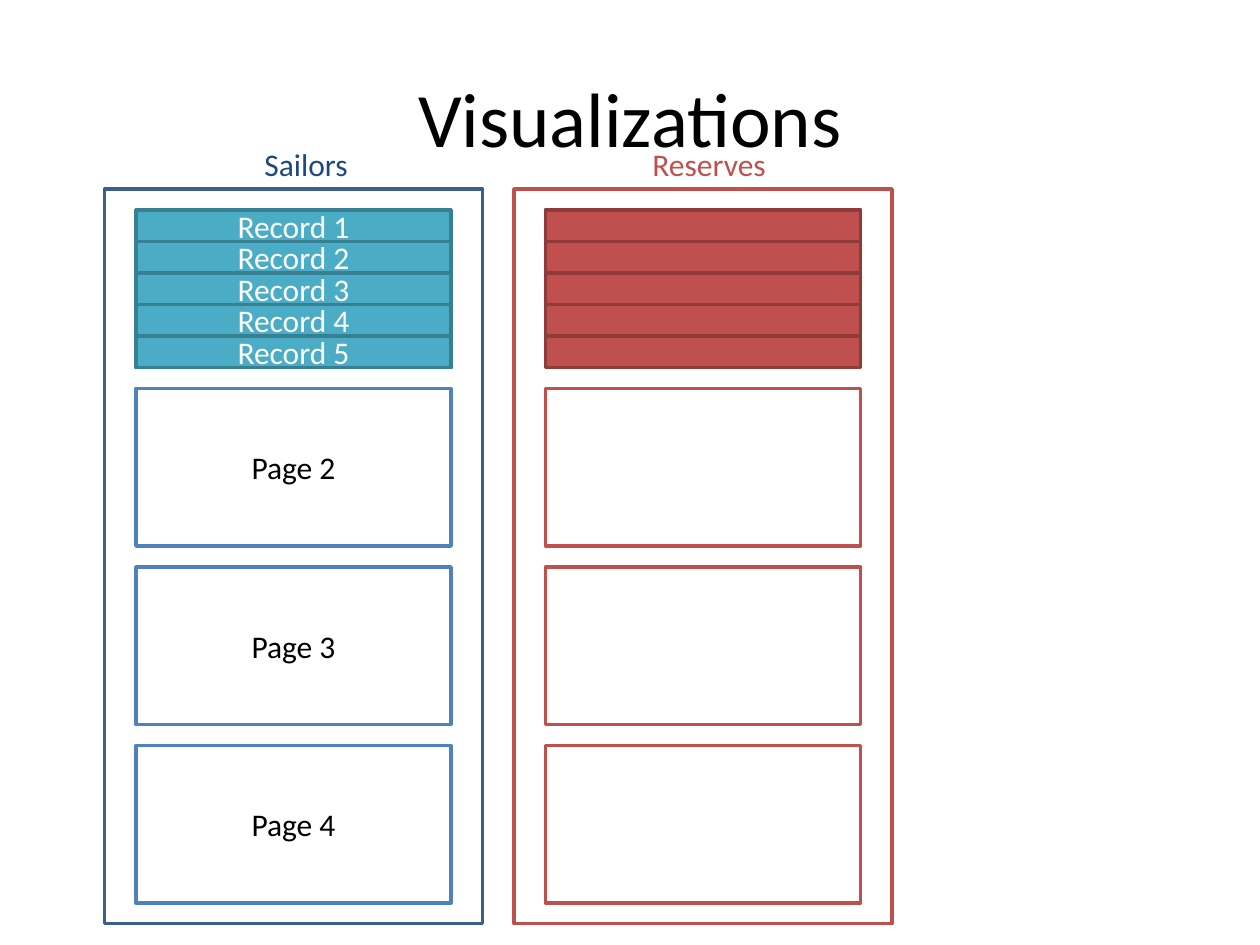
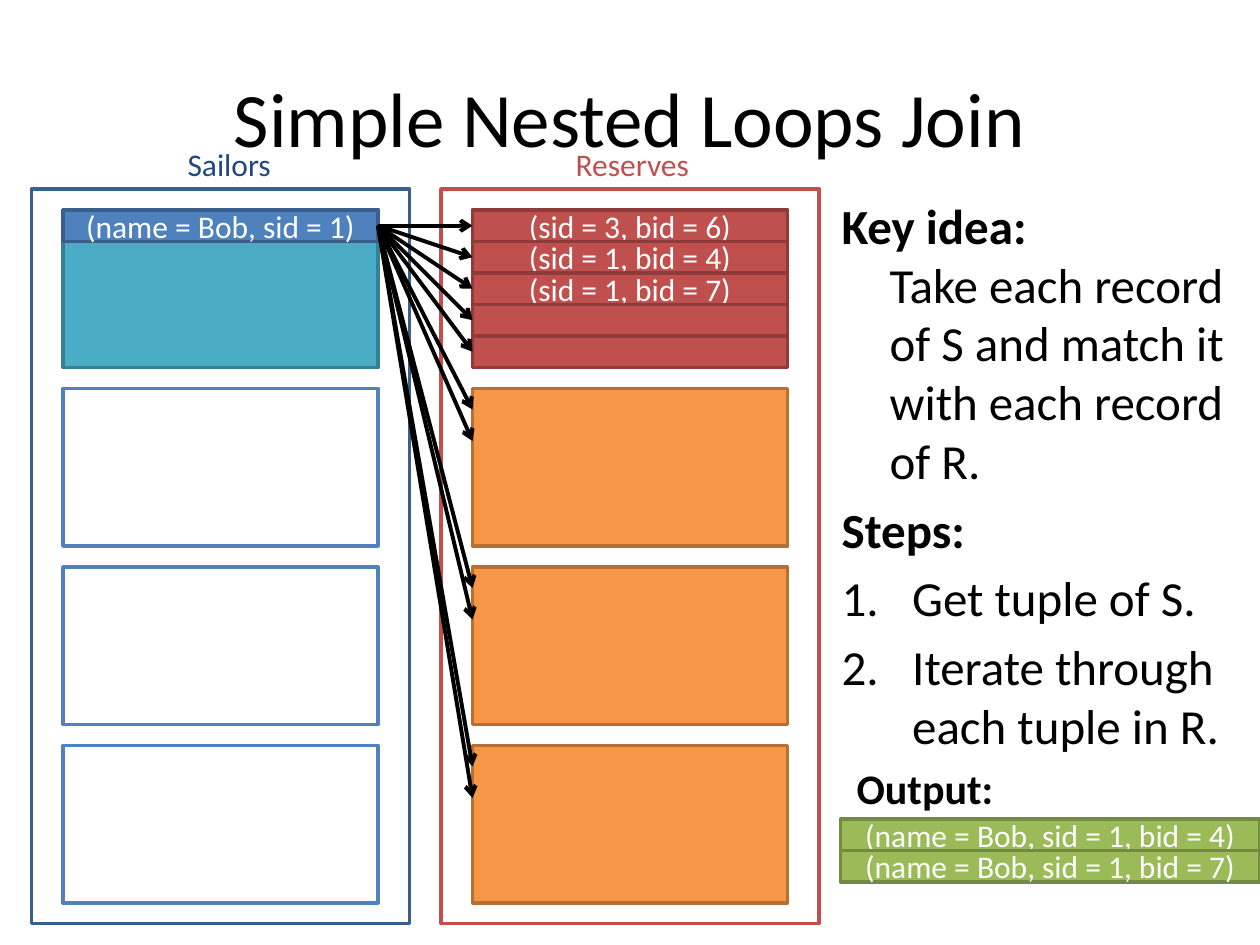
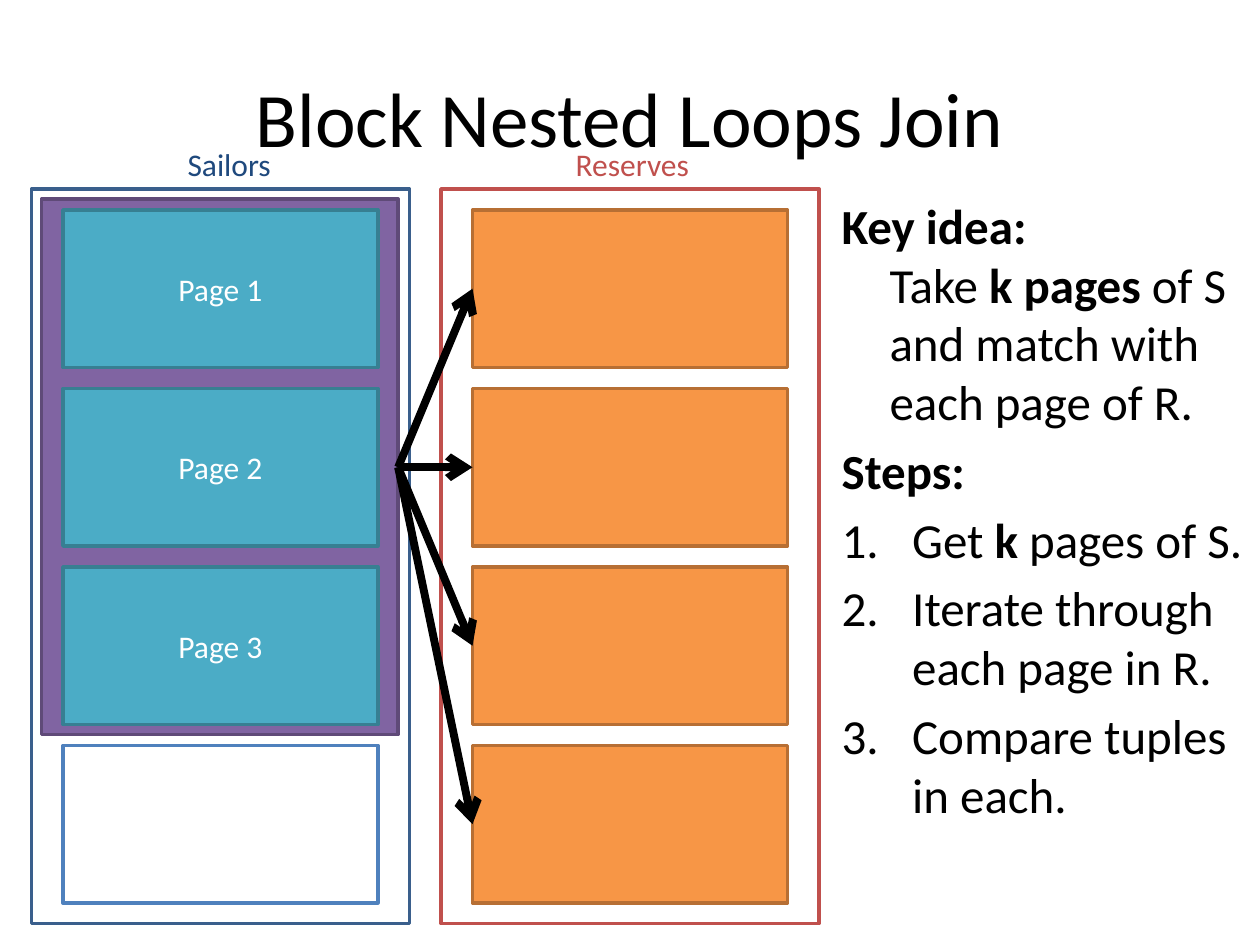
import pptx
import pptx.util
from lxml import etree
from pptx.dml.color import RGBColor
from pptx.enum.shapes import MSO_CONNECTOR, MSO_SHAPE
from pptx.enum.text import MSO_ANCHOR, MSO_AUTO_SIZE, PP_ALIGN
from pptx.oxml.ns import qn
from pptx.util import Inches

FONT = "Calibri"
COLORS = {
    "black": "000000", "white": "FFFFFF", "navy": "1F497D",
    "blue": "4F81BD", "blue_edge": "3A5F8C",
    "teal": "4BACC6", "teal_edge": "377F92",
    "red": "C0504D", "red_edge": "8E3B39",
    "orange": "F79646", "orange_edge": "B76F34",
    "green": "9BBB59", "green_edge": "738A42",
    "purple": "8064A2", "purple_edge": "5F4A78",
}

# Box styles: fill, line, text
STYLES = {
    "sailors_frame": (None, "blue_edge", "black"),
    "reserves_frame": ("white", "red", "black"),
    "sailors_page": ("white", "blue", "black"),
    "reserves_page": ("white", "red", "black"),
    "record_base": ("teal", "blue_edge", "white"),
}
for hue in ("blue", "teal", "red", "orange", "green", "purple"):
    STYLES[hue] = (hue, hue + "_edge", "white")

# Column geometry in inches
FRAME_TOP, FRAME_W, FRAME_H = 1.5, 3, 5.83
PAGE_W, PAGE_H, PAGE_INSET = 2.5, 1.25, 0.25
PAGE_TOPS = [(20 + 17 * i) / 12 for i in range(4)]
RECORD_H = 0.25
SAILORS_X, RESERVES_X = 0.25, 3.5
SAILORS_PAGE_X, RESERVES_PAGE_X = SAILORS_X + PAGE_INSET, RESERVES_X + PAGE_INSET


def rgb(name):
    return RGBColor.from_string(COLORS[name])


def add_run(p, text, size=18, color="black", bold=None):
    if text == "\n":
        br = p._p.add_br()
        etree.SubElement(br, qn("a:rPr"), sz=str(size * 100))
        return
    r = p.add_run()
    r.text = text
    r.font.name = FONT
    r.font.size = pptx.util.Pt(size)
    r.font.color.rgb = rgb(color)
    r.font.bold = bold


class Deck:
    def __init__(self):
        self.prs = pptx.Presentation()
        self.prs.slide_width, self.prs.slide_height = Inches(10), Inches(7.5)
        self.s = None

    def place(self, sp, x, y, w, h):
        sp.left, sp.top, sp.width, sp.height = map(Inches, (x, y, w, h))

    def slide(self, title, layout):
        self.s = self.prs.slides.add_slide(self.prs.slide_layouts[layout])
        sp = self.s.shapes.title
        self.place(sp, 0.5, 0.3, 9, 1.25)
        sp.text_frame.vertical_anchor = MSO_ANCHOR.MIDDLE
        p = sp.text_frame.paragraphs[0]
        p.alignment = PP_ALIGN.CENTER
        add_run(p, title, size=44)

    def box(self, x, y, w, h, style, text=""):
        fill, line, color = STYLES[style]
        sp = self.s.shapes.add_shape(
            MSO_SHAPE.RECTANGLE, Inches(x), Inches(y), Inches(w), Inches(h))
        sp.shadow.inherit = False
        if fill:
            sp.fill.solid()
            sp.fill.fore_color.rgb = rgb(fill)
        else:
            sp.fill.background()
        sp.line.color.rgb = rgb(line)
        sp.line.width = pptx.util.Pt(2)
        if text:
            sp.text_frame.vertical_anchor = MSO_ANCHOR.MIDDLE
            p = sp.text_frame.paragraphs[0]
            p.alignment = PP_ALIGN.CENTER
            add_run(p, text, color=color)

    def label(self, x, y, w, h, text, **fmt):
        sp = self.s.shapes.add_textbox(Inches(x), Inches(y), Inches(w), Inches(h))
        tf = sp.text_frame
        tf.word_wrap = False
        tf.auto_size = MSO_AUTO_SIZE.SHAPE_TO_FIT_TEXT
        add_run(tf.paragraphs[0], text, **fmt)

    def frame(self, x, style):
        self.box(x, FRAME_TOP, FRAME_W, FRAME_H, style)

    def pages(self, x, pages):
        for y, (style, text) in zip(PAGE_TOPS, pages):
            self.box(x, y, PAGE_W, PAGE_H, style, text)

    def records(self, x, style, texts, top=PAGE_TOPS[0], w=PAGE_W):
        for i, text in enumerate(texts):
            self.box(x, top + i * RECORD_H, w, RECORD_H, style, text)

    def table_names(self, sailors_x, reserves_x):
        self.label(sailors_x, 1.1, 0.87, 0.4, "Sailors", color="navy")
        self.label(reserves_x, 1.1, 1.11, 0.4, "Reserves", color="red")

    def arrows(self, x, y, ends, width):
        for end in ends:
            c = self.s.shapes.add_connector(
                MSO_CONNECTOR.STRAIGHT, Inches(x), Inches(y),
                Inches(RESERVES_PAGE_X), Inches(end))
            c.line.color.rgb = rgb("black")
            c.line.width = pptx.util.Pt(width)
            etree.SubElement(c.line._get_or_add_ln(), qn("a:tailEnd"), type="arrow")
            etree.SubElement(c._element.spPr, qn("a:effectLst"))

    def explanation(self, idea, steps):
        """Key idea and numbered steps, each a list of (text, bold) runs."""
        sp = self.s.placeholders[1]
        self.place(sp, 6.58, 1.5, 3.42, 4.95)
        tf = sp.text_frame
        tf.word_wrap = True
        tf.auto_size = MSO_AUTO_SIZE.NONE
        heading = [("Key idea:", True), ("\n", None)]
        items = [(False, heading + idea), (False, [("Steps:", True)])]
        items += [(True, step) for step in steps]
        for i, (numbered, runs) in enumerate(items):
            p = tf.add_paragraph() if i else tf.paragraphs[0]
            if i == 0:
                p.space_before = 0
            pPr = p._p.get_or_add_pPr()
            indent = Inches(0.56 if numbered else 0.38)
            pPr.set("marL", str(indent))
            pPr.set("indent", str(-indent))
            if numbered:
                etree.SubElement(pPr, qn("a:buFont"), typeface="+mj-lt")
                etree.SubElement(pPr, qn("a:buAutoNum"), type="arabicPeriod")
            else:
                etree.SubElement(pPr, qn("a:buNone"))
            for text, bold in runs:
                add_run(p, text, size=28, bold=bold)


def visualizations(d):
    d.slide("Visualizations", layout=5)
    sailors_x, reserves_x = 0.83, 4.08
    # Sailors
    x = sailors_x + PAGE_INSET
    d.frame(sailors_x, "sailors_frame")
    d.pages(x, [("record_base", "")]
            + [("sailors_page", f"Page {n}") for n in (2, 3, 4)])
    d.records(x, "teal", [f"Record {n}" for n in range(1, 6)])
    # Reserves
    x = reserves_x + PAGE_INSET
    d.frame(reserves_x, "reserves_frame")
    d.pages(x, [("record_base", "")] + [("reserves_page", "")] * 3)
    d.records(x, "red", [""] * 5)
    d.table_names(2, 5.08)


def simple_join(d):
    d.slide("Simple Nested Loops Join", layout=1)
    # Tables
    d.frame(SAILORS_X, "sailors_frame")
    d.pages(SAILORS_PAGE_X, [("teal", "")] + [("sailors_page", "")] * 3)
    d.frame(RESERVES_X, "reserves_frame")
    d.pages(RESERVES_PAGE_X, [("orange", "")] * 4)
    d.explanation(
        [("Take each record of S and match it with each record of R.", False)],
        [[("Get tuple of S.", False)],
         [("Iterate through each tuple in R.", False)]])
    d.table_names(1.39, 4.47)
    # Records and output
    d.records(SAILORS_PAGE_X, "blue", ["(name = Bob, sid = 1)"])
    d.records(RESERVES_PAGE_X, "red", ["(sid = 3, bid = 6)", "(sid = 1, bid = 4)",
                                       "(sid = 1, bid = 7)", "", ""])
    d.label(6.7, 6, 1.3, 0.5, "Output:", size=24, bold=True)
    d.records(6.67, "green", ["(name = Bob, sid = 1, bid = 4)",
                              "(name = Bob, sid = 1, bid = 7)"], top=6.5, w=3.33)
    # One record against every record
    start = PAGE_TOPS[0] + RECORD_H / 2
    ends = [start + i * RECORD_H for i in range(5)]
    ends += [y + 1 / 6 + i * RECORD_H for y in PAGE_TOPS[1:] for i in range(2)]
    d.arrows(SAILORS_PAGE_X + PAGE_W, start, ends, width=2.25)


def block_join(d):
    d.slide("Block Nested Loops Join", layout=1)
    # Block of pages, then the tables
    block_x, block_w = 0.33, 2.83
    d.box(block_x, 1.58, block_w, 4.25, "purple")
    d.frame(SAILORS_X, "sailors_frame")
    d.pages(SAILORS_PAGE_X, [("teal", f"Page {n}") for n in (1, 2, 3)]
            + [("sailors_page", "")])
    d.frame(RESERVES_X, "reserves_frame")
    d.pages(RESERVES_PAGE_X, [("orange", "")] * 4)
    d.explanation(
        [("Take ", False), ("k pages ", True),
         ("of S and match with each page of R.", False)],
        [[("Get ", False), ("k ", True), ("pages of S.", False)],
         [("Iterate through each page in R.", False)],
         [("Compare tuples in each.", False)]])
    d.table_names(1.39, 4.47)
    # The block against every page
    ends = [y + PAGE_H / 2 for y in PAGE_TOPS]
    d.arrows(block_x + block_w, ends[1], ends, width=4.5)


def main():
    d = Deck()
    visualizations(d)
    simple_join(d)
    block_join(d)
    d.prs.save("out.pptx")


if __name__ == "__main__":
    main()
